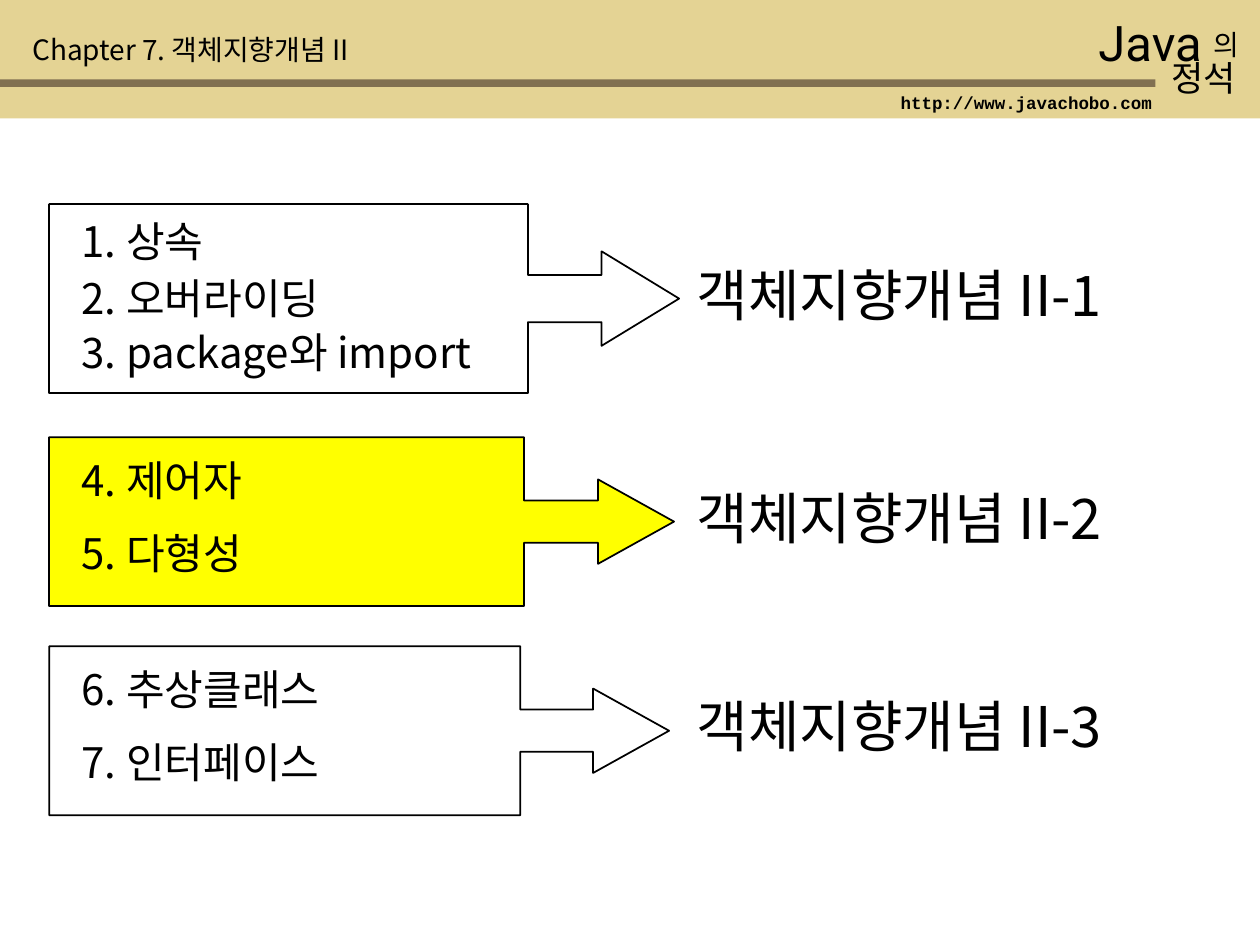
from lxml import etree
from pptx import Presentation
from pptx.dml.color import RGBColor
from pptx.enum.shapes import MSO_SHAPE as Shape
from pptx.enum.text import MSO_AUTO_SIZE as AutoSize
from pptx.oxml.ns import qn
from pptx.util import Inches, Pt

BLACK = RGBColor(0x00, 0x00, 0x00)
YELLOW = RGBColor(0xFF, 0xFF, 0x00)
SAND = RGBColor(0xE4, 0xD3, 0x94)
BROWN = RGBColor(0x81, 0x70, 0x51)

KOREAN = "Noto Sans CJK KR"
ITEM_LEFT, PART_LEFT = 0.55, 5.43

# Callout: top, width, height, head length, fill; label top; items with their tops
PARTS = [
    ((1.62, 5, 1.5, 0.41, None), 2.02,
     [("1. 상속", 1.66), ("2. 오버라이딩", 2.11), ("3. package와 import", 2.54)]),
    ((3.47, 4.96, 1.34, 0.45, YELLOW), 3.79,
     [("4. 제어자", 3.56), ("5. 다형성", 4.14)]),
    ((5.13, 4.92, 1.34, 0.45, None), 5.44,
     [("6. 추상클래스", 5.22), ("7. 인터페이스", 5.8)]),
]


class SlideBuilder:
    def __init__(self, page):
        self.page = page

    def shape(self, kind, left, top, width, height, fill=None):
        shape = self.page.shapes.add_shape(
            kind, Inches(left), Inches(top), Inches(width), Inches(height))
        shape.shadow.inherit = False
        if fill is None:
            shape.fill.background()
        else:
            shape.fill.solid()
            shape.fill.fore_color.rgb = fill
        return shape

    def band(self, left, top, width, height, fill):
        self.shape(Shape.RECTANGLE, left, top, width, height, fill).line.fill.background()

    def callout(self, top, width, height, head, fill):
        callout = self.shape(Shape.RIGHT_ARROW_CALLOUT, 0.39, top, width, height, fill)
        for index, value in enumerate((0.25, 0.25, head, 0.76)):
            callout.adjustments[index] = value
        callout.line.color.rgb = BLACK
        callout.line.width = Pt(1)

    def text(self, words, left, top, width, height, size, font=KOREAN, bold=False):
        box = self.page.shapes.add_textbox(
            Inches(left), Inches(top), Inches(width), Inches(height))
        frame = box.text_frame
        frame.word_wrap = True
        frame.auto_size = AutoSize.SHAPE_TO_FIT_TEXT
        para = frame.paragraphs[0]
        para.text = words
        para.font.size = Pt(size)
        para.font.bold = bold
        para.font.color.rgb = BLACK
        para.font.name = font
        # Hangul takes its typeface from the East Asian slot
        defaults = box.element.find(".//" + qn("a:defRPr"))
        etree.SubElement(defaults, qn("a:ea"), typeface=font)


def main():
    deck = Presentation()
    deck.slide_width, deck.slide_height = Inches(10), Inches(7.5)
    slide = SlideBuilder(deck.slides.add_slide(deck.slide_layouts[6]))

    slide.band(0, 0, 10, 0.94, SAND)
    slide.band(0, 0.63, 9.17, 0.06, BROWN)
    slide.text("Java", 8.62, 0.05, 1.33, 0.57, 28, "Roboto")
    slide.text("의", 9.53, 0.17, 0.59, 0.37, 16)
    slide.text("정석", 9.2, 0.4, 0.89, 0.44, 20)
    slide.text("http://www.javachobo.com", 7.05, 0.68, 2.2, 0.27, 10, "Courier New", bold=True)
    slide.text("Chapter 7. 객체지향개념 II", 0.16, 0.21, 4.33, 0.37, 16)

    for number, (callout, label_top, items) in enumerate(PARTS, start=1):
        slide.callout(*callout)
        for words, top in items:
            slide.text(words, ITEM_LEFT, top, 5.32, 0.5, 24)
        slide.text(f"객체지향개념 II-{number}", PART_LEFT, label_top, 4.29, 0.64, 32)

    deck.save("out.pptx")


if __name__ == "__main__":
    main()
